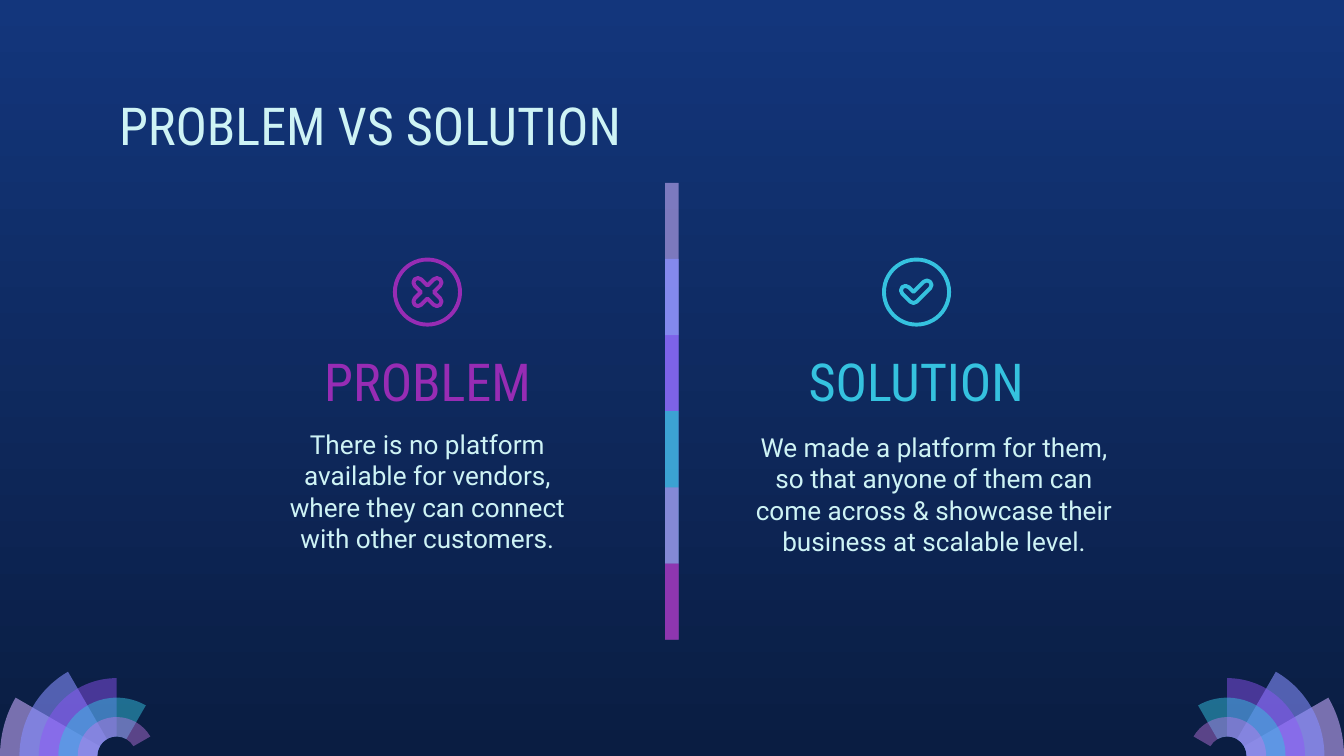
"""Build a problem versus solution slide with a banded divider and corner fans."""
from dataclasses import dataclass
from math import cos, hypot, radians, sin, tan

from lxml import etree
from pptx import Presentation
from pptx import util as u
from pptx.dml import color
from pptx.enum import shapes, text
from pptx.oxml import ns
from pptx.shapes.autoshape import Shape
from pptx.slide import Slide

Point = tuple[float, float]
Segment = tuple[Point, ...]


@dataclass(frozen=True)
class Theme:
    top: str = "13367C"
    bottom: str = "0A1D42"
    pale: str = "CEF3F5"
    cyan: str = "35C2DF"
    magenta: str = "972CB4"
    lilac: str = "C8ACFD"
    soft_lilac: str = "C8AEF8"
    periwinkle: str = "878FFF"
    violet: str = "9154F8"
    orchid: str = "CA7BEB"
    heading_font: str = "Roboto Condensed"
    body_font: str = "Roboto"
    heading_size: float = 28
    body_size: float = 14
    icon_stroke: float = 2.1


@dataclass(frozen=True)
class Tint:
    colour: str
    opacity: int


@dataclass(frozen=True)
class Label:
    words: str
    left: float
    top: float
    width: float
    height: float
    colour: str
    font: str
    size: float
    alignment: text.PP_ALIGN = text.PP_ALIGN.CENTER


@dataclass(frozen=True)
class Arm:
    angle: float
    length: float


@dataclass(frozen=True)
class Icon:
    centre: Point
    hub: Point
    arms: tuple[Arm, ...]
    colour: str


THEME = Theme()
WIDTH, HEIGHT = 720, 405
RING_STEP = 10.42
FAN_INSET = 6 * RING_STEP
FAN = (
    Tint(THEME.lilac, 58),
    Tint(THEME.periwinkle, 58),
    Tint(THEME.violet, 46),
    Tint(THEME.cyan, 49),
    Tint(THEME.orchid, 42),
)
BAND_TOP, BAND_STEP, BAND_WIDTH = 97.9, 40.8, 7.2
BANDS = (
    Tint(THEME.soft_lilac, 59),
    Tint(THEME.periwinkle, 74),
    Tint(THEME.violet, 53),
    Tint(THEME.cyan, 76),
    Tint(THEME.orchid, 56),
    Tint(THEME.magenta, 74),
)
HEADING = (THEME.heading_font, THEME.heading_size)
BODY = (THEME.pale, THEME.body_font, THEME.body_size)
LABELS = (
    Label("SOLUTION", 406.2, 180, 169.2, 45.4, THEME.cyan, *HEADING),
    Label("We made a platform for them, so that anyone of them can come across "
          "& showcase their business at scalable level.",
          394.2, 223.9, 212.4, 80.6, *BODY),
    Label("There is no platform available for vendors, where they can connect "
          "with other customers.", 144.4, 222.2, 169.2, 80.6, *BODY),
    Label("PROBLEM", 144.4, 180, 169.2, 45.4, THEME.magenta, *HEADING),
    Label("PROBLEM VS SOLUTION", 56.7, 42.8, 607, 45.4, THEME.pale, *HEADING,
          text.PP_ALIGN.LEFT),
)
RING_DIAMETER = 37
ARM_RADIUS = 2.45
ICONS = (
    Icon((491, 156.5), (-1.6, 3.4), (Arm(225, 6.1), Arm(315, 10.2)), THEME.cyan),
    Icon((229, 156.5), (0, 0), tuple(Arm(45 + 90 * turn, 7.2) for turn in range(4)),
         THEME.magenta),
)


def polar(centre: Point, radius: float, angle: float) -> Point:
    """Return the point at a clockwise angle around a centre."""
    return (centre[0] + radius * cos(radians(angle)),
            centre[1] + radius * sin(radians(angle)))


def arc(centre: Point, radius: float, start: float, end: float) -> list[Segment]:
    """Return a line to the arc's start, then one Bezier curve per quadrant."""
    low, high = sorted((start, end))
    inner = [angle for angle in range(0, 721, 90) if low < angle < high]
    stops = sorted([start, *inner, end], reverse=start > end)
    segments: list[Segment] = [(polar(centre, radius, start),)]
    for first, last in zip(stops, stops[1:]):
        reach = 4 / 3 * tan(radians(last - first) / 4)
        reached, swing = radius * hypot(1, reach), 0.0
        a, b = polar(centre, radius, first), polar(centre, radius, last)
        leave = polar(a, radius * reach, first + 90)
        arrive = polar(b, -radius * reach, last + 90)
        segments.append((leave, arrive, b))
    return segments


def paint(shape: Shape, tint: Tint) -> None:
    """Fill a shape without line or shadow, at the tint's opacity."""
    shape.shadow.inherit = False
    shape.line.fill.background()
    shape.fill.solid()
    shape.fill.fore_color.rgb = color.RGBColor.from_string(tint.colour)
    if tint.opacity < 100:
        fill_colour = shape.element.spPr.find(ns.qn("a:solidFill"))[0]
        etree.SubElement(fill_colour, ns.qn("a:alpha"), val=str(tint.opacity * 1000))


def add_outline(slide: Slide, segments: list[Segment]) -> Shape:
    """Add a closed freeform, turning three-point segments into Bezier curves."""
    corners = [(u.Pt(x), u.Pt(y)) for segment in segments for x, y in segment]
    builder = slide.shapes.build_freeform(*corners[0])
    builder.add_line_segments(corners[1:], close=True)
    shape = builder.convert_to_shape()
    steps = iter(list(shape.element.spPr.find(".//" + ns.qn("a:path"))))
    for segment in segments:
        step = next(steps)
        if len(segment) == 3:
            step.tag = ns.qn("a:cubicBezTo")
            for extra in (next(steps), next(steps)):
                step.append(extra[0])
                extra.getparent().remove(extra)
    return shape


def add_fan(slide: Slide, centre: Point, mirrored: bool) -> None:
    """Add a corner fan whose sectors widen by 30 degrees as they shrink."""
    for index, tint in enumerate(FAN):
        start, end = 180, 210 + 30 * index
        if mirrored:
            start, end = 360, 330 - 30 * index
        outer = arc(centre, (6 - index) * RING_STEP, start, end)
        inner = arc(centre, RING_STEP, end, start)
        paint(add_outline(slide, outer + inner), tint)


def add_divider(slide: Slide) -> None:
    """Add the overlapping bands of the central divider."""
    for index, tint in enumerate(BANDS):
        steps = min(2, len(BANDS) - index)
        band = slide.shapes.add_shape(
            shapes.MSO_SHAPE.RECTANGLE, u.Pt((WIDTH - BAND_WIDTH) / 2),
            u.Pt(BAND_TOP + index * BAND_STEP), u.Pt(BAND_WIDTH), u.Pt(steps * BAND_STEP))
        paint(band, tint)


def add_label(slide: Slide, label: Label) -> None:
    """Add one text box."""
    box = slide.shapes.add_textbox(u.Pt(label.left), u.Pt(label.top),
                                   u.Pt(label.width), u.Pt(label.height))
    frame = box.text_frame
    frame.text = label.words
    frame.word_wrap = True
    frame.margin_left = frame.margin_right = u.Pt(7.2)
    frame.margin_top = frame.margin_bottom = u.Pt(7.2)
    paragraph = frame.paragraphs[0]
    paragraph.alignment = label.alignment
    font = paragraph.runs[0].font
    font.name, font.size = label.font, u.Pt(label.size)
    font.color.rgb = color.RGBColor.from_string(label.colour)


def arm_contour(hub: Point, arms: tuple[Arm, ...]) -> list[Segment]:
    """Trace round-ended arms that leave a hub at right angles."""
    segments: list[Segment] = []
    for arm, following in zip(arms, arms[1:] + arms[:1]):
        tip = polar(hub, arm.length, arm.angle)
        segments += arc(tip, ARM_RADIUS, arm.angle - 90, arm.angle + 90)
        gap = (following.angle - arm.angle) % 360
        if gap == 90:
            segments.append((polar(hub, hypot(ARM_RADIUS, ARM_RADIUS), arm.angle + 45),))
        else:
            segments += arc(hub, ARM_RADIUS, arm.angle + 90, arm.angle + gap - 90)
    return segments


def add_icon(slide: Slide, icon: Icon) -> None:
    """Add a ring with an outlined mark inside."""
    x, y = icon.centre
    ring = slide.shapes.add_shape(
        shapes.MSO_SHAPE.DONUT, u.Pt(x - RING_DIAMETER / 2), u.Pt(y - RING_DIAMETER / 2),
        u.Pt(RING_DIAMETER), u.Pt(RING_DIAMETER))
    ring.adjustments[0] = THEME.icon_stroke / RING_DIAMETER
    paint(ring, Tint(icon.colour, 100))
    hub = (x + icon.hub[0], y + icon.hub[1])
    mark = add_outline(slide, arm_contour(hub, icon.arms))
    mark.shadow.inherit = False
    mark.fill.background()
    mark.line.width = u.Pt(THEME.icon_stroke)
    mark.line.color.rgb = color.RGBColor.from_string(icon.colour)


def main() -> None:
    """Assemble and save the slide."""
    presentation = Presentation()
    presentation.slide_width, presentation.slide_height = u.Pt(WIDTH), u.Pt(HEIGHT)
    slide = presentation.slides.add_slide(presentation.slide_layouts[6])
    backdrop = slide.background.fill
    backdrop.gradient()
    backdrop.gradient_angle = 270
    for stop, colour in zip(backdrop.gradient_stops, (THEME.top, THEME.bottom)):
        stop.color.rgb = color.RGBColor.from_string(colour)
    add_fan(slide, (FAN_INSET, HEIGHT), False)
    add_fan(slide, (WIDTH - FAN_INSET, HEIGHT), True)
    add_divider(slide)
    for label in LABELS:
        add_label(slide, label)
    for icon in ICONS:
        add_icon(slide, icon)
    presentation.save("out.pptx")


if __name__ == "__main__":
    main()
